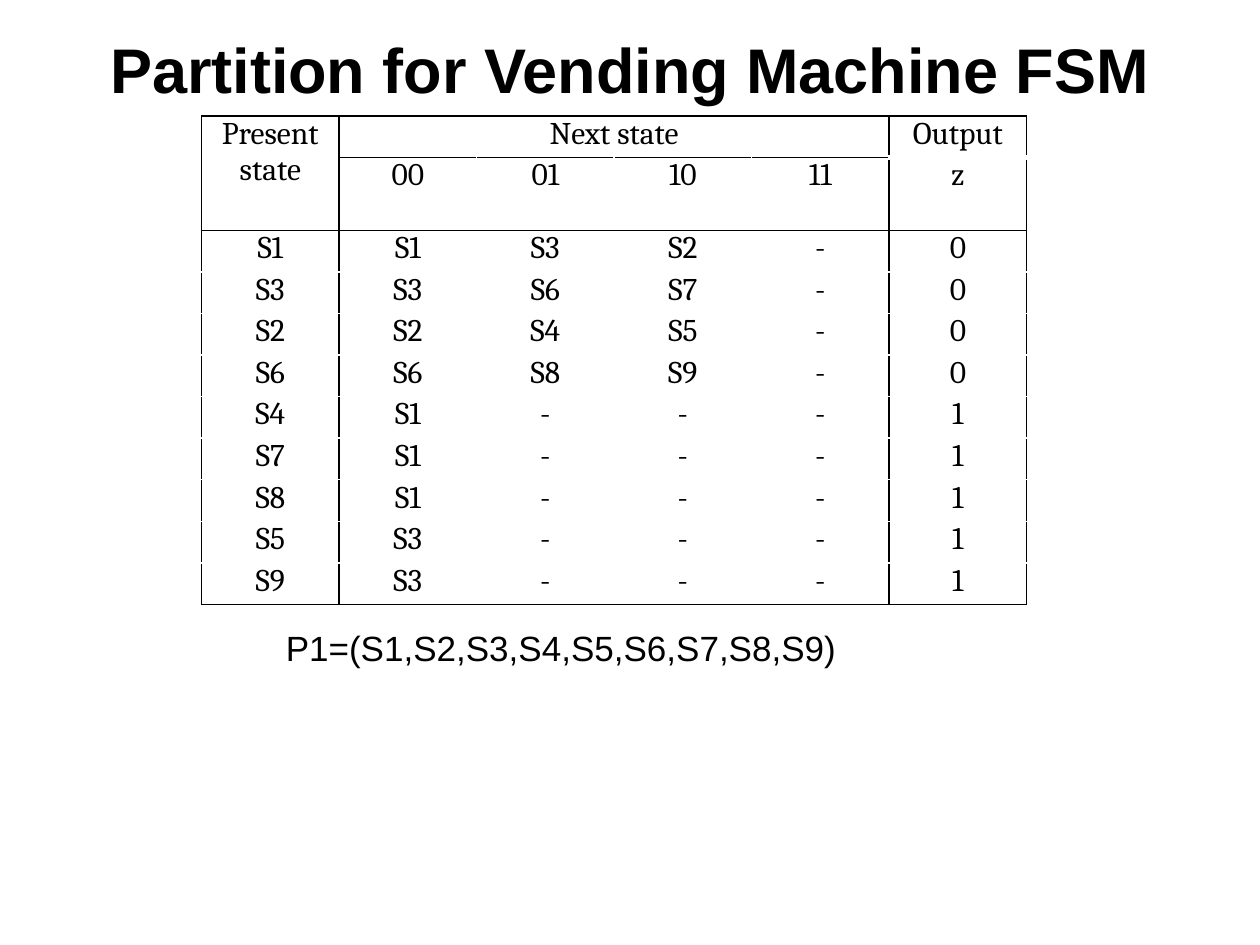
import pptx
import pptx.util
import pptx.dml.color
import pptx.enum.text
import pptx.oxml.ns
from lxml import etree

Inches, Pt = pptx.util.Inches, pptx.util.Pt
ALIGN, ANCHOR = pptx.enum.text.PP_ALIGN, pptx.enum.text.MSO_ANCHOR
BLACK, WHITE = "000000", "FFFFFF"

TITLE = "Partition for Vending Machine FSM"
PARTITION = "P1=(S1,S2,S3,S4,S5,S6,S7,S8,S9)"
ROWS = [
    ("Present state", "Next state", "", "", "", "Output"),
    ("", "00", "01", "10", "11", "z"),
    ("S1", "S1", "S3", "S2", "-", "0"),
    ("S3", "S3", "S6", "S7", "-", "0"),
    ("S2", "S2", "S4", "S5", "-", "0"),
    ("S6", "S6", "S8", "S9", "-", "0"),
    ("S4", "S1", "-", "-", "-", "1"),
    ("S7", "S1", "-", "-", "-", "1"),
    ("S8", "S1", "-", "-", "-", "1"),
    ("S5", "S3", "-", "-", "-", "1"),
    ("S9", "S3", "-", "-", "-", "1"),
]
MERGES = [((0, 0), (1, 0)), ((0, 1), (0, 4))]
RULED_COLS = {0, 1, 5, 6}
RULED_ROWS = {0, 2, len(ROWS)}
OUTPUT_COL = 5


def rgb(color):
    return pptx.dml.color.RGBColor.from_string(color)


def add_run(p, text, size, font, bold=False):
    r = p.add_run()
    r.text = text
    r.font.size = Pt(size)
    r.font.name = font
    r.font.bold = bold
    r.font.color.rgb = rgb(BLACK)


def add_text(s, box, text, size, align, anchor, wrap, bold=False):
    tf = s.shapes.add_textbox(*map(Inches, box)).text_frame
    tf.word_wrap = wrap
    tf.vertical_anchor = anchor
    if not wrap:
        tf.auto_size = pptx.enum.text.MSO_AUTO_SIZE.SHAPE_TO_FIT_TEXT
    tf.paragraphs[0].alignment = align
    add_run(tf.paragraphs[0], text, size, "Arial", bold)


def row_line(edge, col):
    if edge in RULED_ROWS or (edge == 1 and col != OUTPUT_COL):
        return BLACK, 1
    return WHITE, 3 if edge == 1 else 1


def col_line(edge):
    return (BLACK if edge in RULED_COLS else WHITE), 1


def set_borders(cell, row, col):
    bottom = row + (cell.span_height if cell.is_merge_origin else 1)
    right = col + (cell.span_width if cell.is_merge_origin else 1)
    lines = {"lnL": col_line(col), "lnR": col_line(right),
             "lnT": row_line(row, col), "lnB": row_line(bottom, col)}
    qn = pptx.oxml.ns.qn
    props = cell._tc.get_or_add_tcPr()
    for i, (tag, (color, width)) in enumerate(lines.items()):
        ln = etree.Element(qn("a:" + tag), w=str(Pt(width)))
        fill = etree.SubElement(ln, qn("a:solidFill"))
        etree.SubElement(fill, qn("a:srgbClr"), val=color)
        props.insert(i, ln)


def add_state_table(s):
    shape = s.shapes.add_table(len(ROWS), len(ROWS[0]), Inches(1.6), Inches(0.92),
                               Inches(6.55), Inches(3.62))
    table = shape.table
    table.first_row = table.horz_banding = False
    for row in table.rows:
        row.height = Inches(0.33)
    for start, end in MERGES:
        table.cell(*start).merge(table.cell(*end))
    for i, row in enumerate(ROWS):
        for j, text in enumerate(row):
            cell = table.cell(i, j)
            cell.fill.background()
            cell.margin_left = cell.margin_right = 0
            cell.margin_top = cell.margin_bottom = 0
            if cell.is_spanned:
                continue
            p = cell.text_frame.paragraphs[0]
            p.alignment = ALIGN.CENTER
            add_run(p, text, 18, "Cambria")
            set_borders(cell, i, j)


def main():
    prs = pptx.Presentation()
    prs.slide_width, prs.slide_height = Inches(10), Inches(7.5)
    s = prs.slides.add_slide(prs.slide_layouts[6])
    add_state_table(s)
    add_text(s, (2.17, 4.92, 4.6, 0.44), PARTITION, 20, ALIGN.LEFT, ANCHOR.TOP, False)
    add_text(s, (0, 0.17, 10, 0.75), TITLE, 36, ALIGN.CENTER, ANCHOR.MIDDLE, True, True)
    prs.save("out.pptx")


if __name__ == "__main__":
    main()
